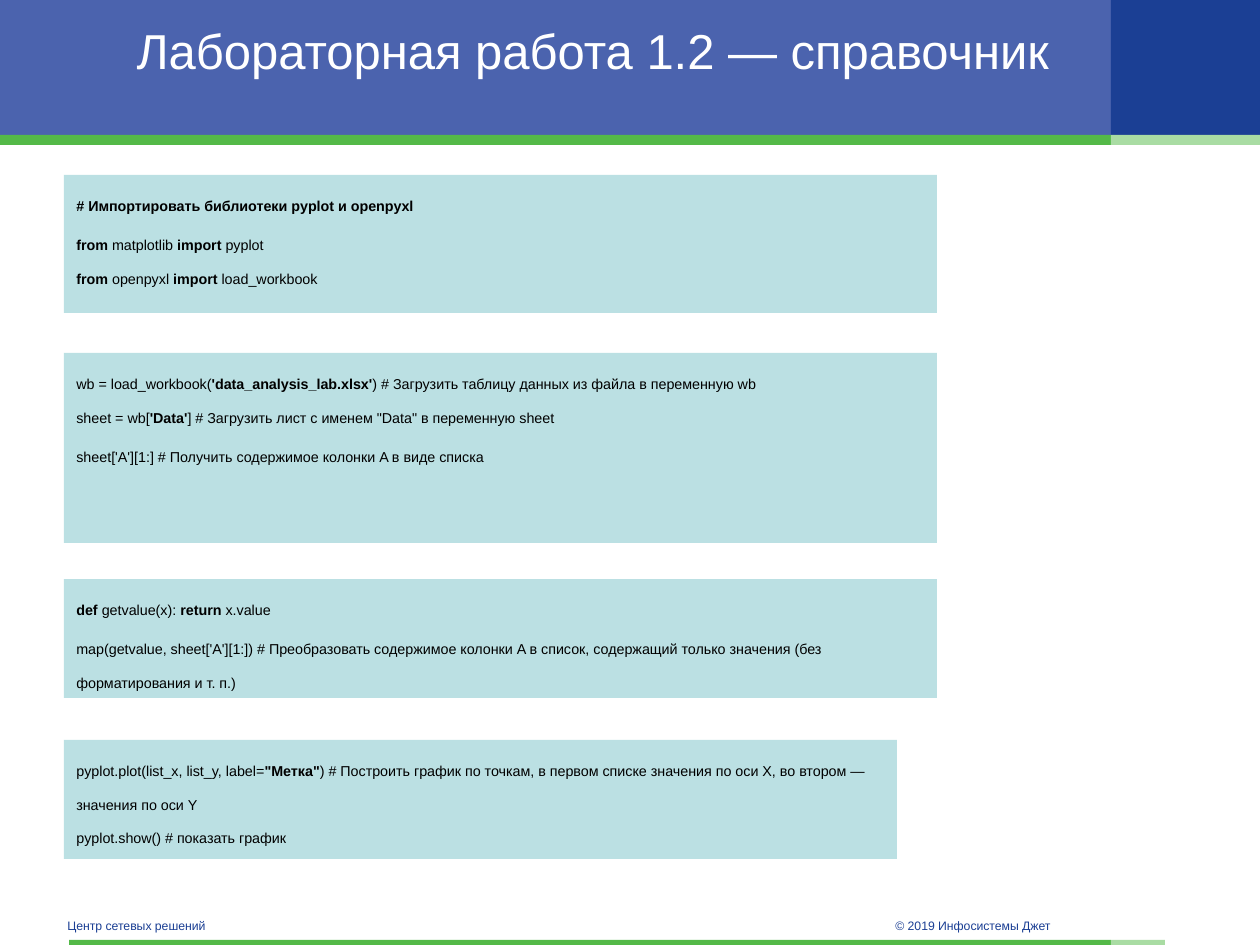
from pptx import Presentation
from pptx.dml.color import RGBColor
from pptx.enum.shapes import MSO_SHAPE as Kind
from pptx.enum.text import MSO_ANCHOR as Anchor, PP_ALIGN as Align
from pptx.util import Emu, Pt

SCALE = 914400 / 126
NAVY, GREEN, PALE = "1B3F94", "54B948", "A9DCA3"


def px(*nums):
    return [Emu(round(n * SCALE)) for n in nums]


def color(code):
    return RGBColor.from_string(code)


deck = Presentation()
deck.slide_width, deck.slide_height = px(1260, 945)
slide = deck.slides.add_slide(deck.slide_layouts[5])
shapes = slide.shapes

# Header and footer bars, then code panels: place, fill, paragraphs.
# Two asterisks switch bold on and off.
bars = [
    ((0, 0, 1111, 135), "4B63AE", []),
    ((1111, 0, 149, 135), NAVY, []),
    ((0, 135, 1111, 10), GREEN, []),
    ((1111, 135, 149, 10), PALE, []),
    ((69, 940, 1042, 5), GREEN, []),
    ((1111, 940, 54, 5), PALE, []),
]
panels = [
    ((64, 175, 873, 138), [
        "**# Импортировать библиотеки pyplot и openpyxl**",
        "**from **matplotlib **import **pyplot\n"
        "**from **openpyxl **import **load_workbook"]),
    ((64, 353, 873, 190), [
        "wb = load_workbook(**'data_analysis_lab.xlsx'**) "
        "# Загрузить таблицу данных из файла в переменную wb\n"
        "sheet = wb[**'Data'**] "
        "# Загрузить лист с именем \"Data\" в переменную sheet",
        "sheet['A'][1:] # Получить содержимое колонки A в виде списка"]),
    ((64, 579, 873, 119), [
        "**def **getvalue(x): **return **x.value",
        "map(getvalue, sheet['A'][1:]) # Преобразовать содержимое колонки A "
        "в список, содержащий только значения (без форматирования и т. п.)"]),
    ((64, 740, 833, 119), [
        "pyplot.plot(list_x, list_y, label=**\"Метка\"**) "
        "# Построить график по точкам, в первом списке значения по оси X, "
        "во втором — значения по оси Y\n"
        "pyplot.show() # показать график"]),
]

for place, fill, paras in bars + [(at, "BBE0E3", code) for at, code in panels]:
    box = shapes.add_shape(Kind.RECTANGLE, *px(*place))
    box.shadow.inherit = False
    box.fill.solid()
    box.fill.fore_color.rgb = color(fill)
    box.line.fill.background()
    frame = box.text_frame
    frame.word_wrap = True
    frame.vertical_anchor = Anchor.TOP
    for row, text in enumerate(paras):
        para = frame.add_paragraph() if row else frame.paragraphs[0]
        para.alignment = Align.LEFT
        para.line_spacing = 1.95
        para.space_before = Pt(3 if row else 0)
        bold = False
        for part in text.split("**"):
            for num, line in enumerate(part.split("\n")):
                if num:
                    para.add_line_break()
                if line:
                    run = para.add_run()
                    run.text = line
                    look = {"name": "Arial", "size": Pt(8.2), "bold": bold}
                    for key, val in look.items():
                        setattr(run.font, key, val)
                    run.font.color.rgb = color("000000")
            bold = not bold

# Title above the bars, and the footer labels
title = shapes.title
shapes._spTree.append(title._element)
title.left, title.top, title.width, title.height = px(124, 0, 1062, 100)
right = shapes.add_textbox(*px(883, 907, 297, 25))
left = shapes.add_textbox(*px(55, 905, 416, 29))
labels = [
    (title, "Лабораторная работа 1.2 — справочник", 28, "FFFFFF", 6),
    (right, "© 2019 Инфосистемы Джет", 7, NAVY, 13),
    (left, "Центр сетевых решений", 7, NAVY, 13),
]
for box, text, size, ink, top in labels:
    frame = box.text_frame
    frame.text = text
    gaps = px(top, 6 if box is title else 0)
    look = {"word_wrap": box is not left, "vertical_anchor": Anchor.MIDDLE,
            "margin_top": gaps[0], "margin_bottom": gaps[1]}
    for key, val in look.items():
        setattr(frame, key, val)
    para = frame.paragraphs[0]
    para.alignment = Align.LEFT
    para.font.name, para.font.size = "Arial", Pt(size)
    para.font.color.rgb = color(ink)

deck.save("out.pptx")
